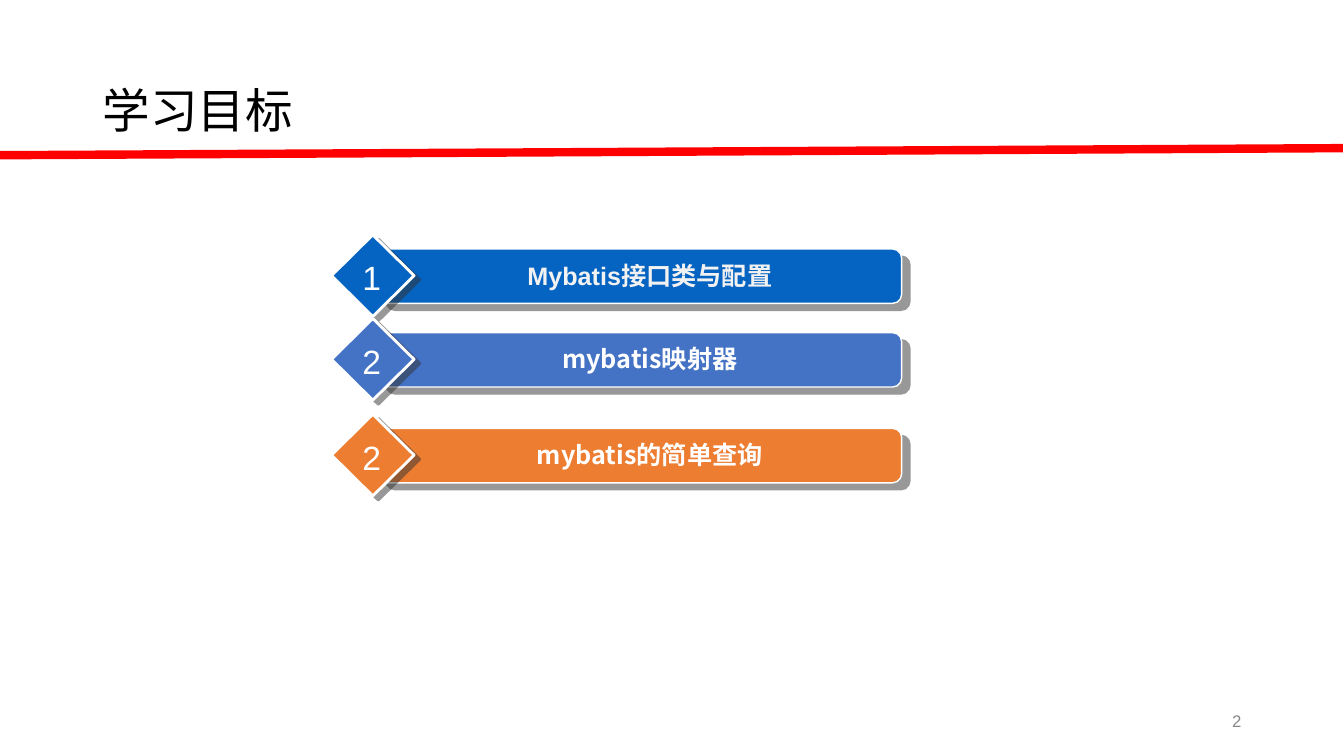
from lxml import etree
from pptx import Presentation
from pptx import util as u
from pptx.dml.color import RGBColor
from pptx.enum import shapes, text
from pptx.oxml.ns import qn

Inches = u.Inches
color = RGBColor.from_string


def write(box, words, size, font, ink, align, bold=False):
    para = box.text_frame.paragraphs[0]
    para.alignment = align
    span = para.add_run()
    span.text = words
    span.font.size = u.Pt(size)
    span.font.name = font
    span.font.bold = bold
    span.font.color.rgb = color(ink)
    east_asian = etree.SubElement(span._r.get_or_add_rPr(), qn("a:ea"))
    east_asian.set("typeface", "Noto Sans CJK SC")


def add_shadow(shape, distance, angle):
    shape.shadow.inherit = False
    effects = shape._element.spPr.find(qn("a:effectLst"))
    shadow = etree.SubElement(effects, qn("a:outerShdw"), blurRad="0", dist=str(u.Pt(distance)),
                              dir=str(angle * 60000), algn="ctr", rotWithShape="0")
    tint = etree.SubElement(shadow, qn("a:srgbClr"), val="333333")
    etree.SubElement(tint, qn("a:alpha"), val="50000")


deck = Presentation()
deck.slide_width = Inches(13.34)
deck.slide_height = Inches(7.5)
page = deck.slides.add_slide(deck.slide_layouts[5])

title = page.shapes.title
title.left, title.top, title.width, title.height = map(Inches, (0.92, 0.4, 11.5, 1.45))
title.text_frame.vertical_anchor = text.MSO_ANCHOR.MIDDLE
write(title, "学习目标", 34, "Calibri", "000000", text.PP_ALIGN.LEFT)
title.text_frame.paragraphs[0].line_spacing = 0.9

number = page.shapes.add_textbox(*map(Inches, (9.42, 6.95, 3, 0.4)))
number.text_frame.word_wrap = True
number.text_frame.vertical_anchor = text.MSO_ANCHOR.MIDDLE
write(number, "2", 12, "Arial", "898989", text.PP_ALIGN.RIGHT)

goals = [
    (2.33, "1", "Mybatis接口类与配置", "0563C1", "Arial", "F2F2F2"),
    (3.16, "2", "mybatis映射器", "4472C4", "Noto Sans CJK SC", "FFFFFF"),
    (4.11, "2", "mybatis的简单查询", "ED7D31", "Noto Sans CJK SC", "FFFFFF"),
]
kinds = shapes.MSO_SHAPE
for top, digit, goal, fill, font, ink in goals:
    group = page.shapes.add_group_shape()
    for kind, left, drop, width, height, line, distance, angle in [
        (kinds.ROUNDED_RECTANGLE, 3.75, 0.14, 5.2, 0.54, 1, 7.8, 40),
        (kinds.DIAMOND, 3.29, 0, 0.82, 0.81, 2, 5, 37),
    ]:
        shape = group.shapes.add_shape(kind, *map(Inches, (left, top + drop, width, height)))
        shape.fill.solid()
        shape.fill.fore_color.rgb = color(fill)
        shape.line.color.rgb = color("FFFFFF")
        shape.line.width = u.Pt(line)
        add_shadow(shape, distance, angle)
    for words, left, drop, width, height, size, face, shade, bold in [
        (goal, 4.02, 0.21, 4.86, 0.38, 18, font, ink, True),
        (digit, 3.52, 0.18, 0.34, 0.48, 24, "Arial", "FFFFFF", False),
    ]:
        box = group.shapes.add_textbox(*map(Inches, (left, top + drop, width, height)))
        frame = box.text_frame
        frame.word_wrap = bold
        frame.margin_left = frame.margin_right = Inches(0.07)
        frame.margin_top = frame.margin_bottom = Inches(0.04)
        write(box, words, size, face, shade, text.PP_ALIGN.CENTER, bold)

rule = page.shapes.add_connector(shapes.MSO_CONNECTOR.STRAIGHT, *map(Inches, (0, 1.54, 13.33, 1.47)))
rule.line.color.rgb = color("FF0000")
rule.line.width = u.Pt(6)
etree.SubElement(rule._element.spPr, qn("a:effectLst"))

deck.save("out.pptx")
